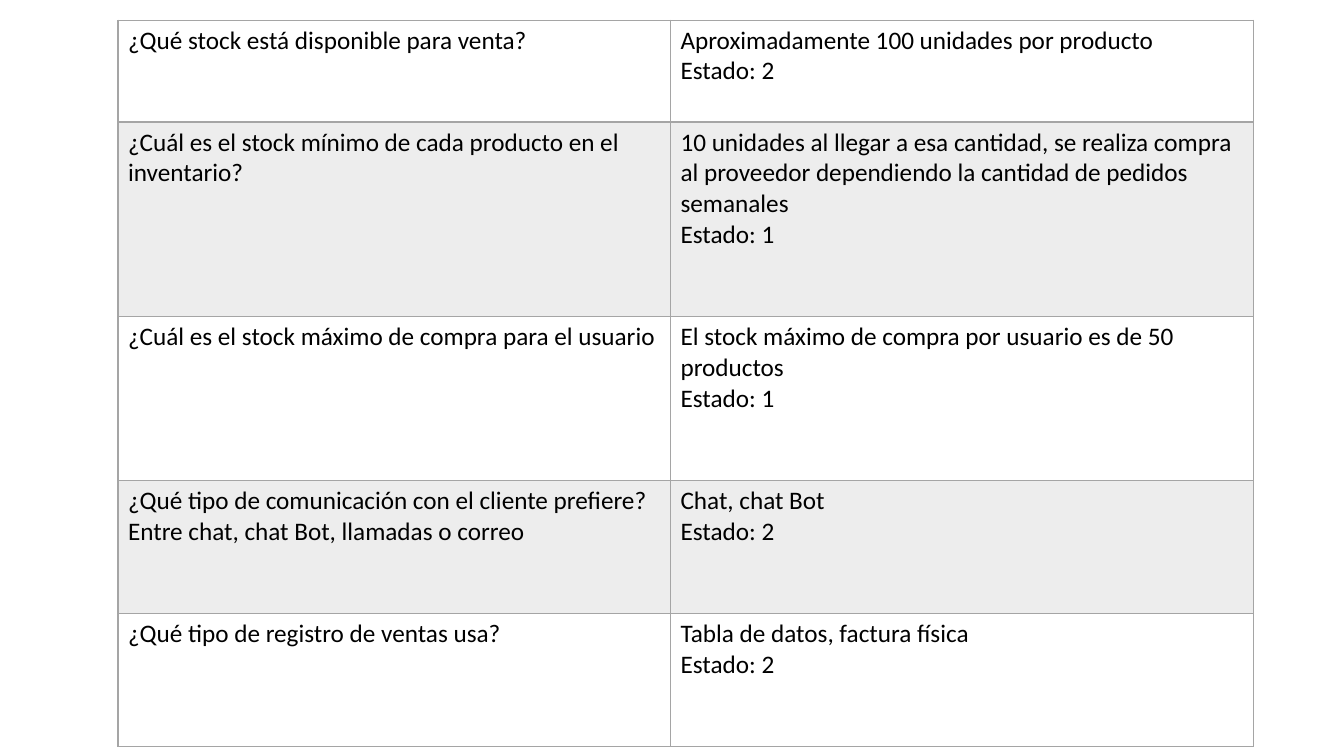
from dataclasses import dataclass

from lxml.etree import SubElement
from pptx import Presentation
from pptx.dml.color import RGBColor as RGB
from pptx.oxml.ns import qn
from pptx.util import Inches, Pt


@dataclass(frozen=True)
class Theme:
    font: str = "Calibri"
    size: int = 18
    ink: str = "000000"
    border: str = "A5A5A5"
    plain: str = "FFFFFF"
    band: str = "EDEDED"
    thin: int = 1
    thick: int = 2


THEME = Theme()
COLUMN_WIDTHS = (5.48, 5.78)
# Row height, question, answer, state
INTERVIEW = (
    (1.01, "¿Qué stock está disponible para venta?",
     "Aproximadamente 100 unidades por producto", 2),
    (1.93, "¿Cuál es el stock mínimo de cada producto en el inventario?",
     "10 unidades al llegar a esa cantidad, se realiza compra al proveedor "
     "dependiendo la cantidad de pedidos semanales", 1),
    (1.63, "¿Cuál es el stock máximo de compra para el usuario",
     "El stock máximo de compra por usuario es de 50 productos", 1),
    (1.32, "¿Qué tipo de comunicación con el cliente prefiere? "
     "Entre chat, chat Bot, llamadas o correo", "Chat, chat Bot", 2),
    (1.32, "¿Qué tipo de registro de ventas usa?",
     "Tabla de datos, factura física", 2),
)


def write_text(frame, text, *, font=THEME.font, size=THEME.size, color=THEME.ink):
    """Fill the frame; a vertical tab in the text is a line break."""
    frame.word_wrap = True
    frame.text = text
    for paragraph in frame.paragraphs:
        for run in paragraph.runs:
            run.font.name = font
            run.font.size = Pt(size)
            run.font.color.rgb = RGB.from_string(color)


def draw_borders(cell, **widths):
    """Draw the sides L, R, T and B with the given widths in points."""
    properties = cell._tc.get_or_add_tcPr()
    for side, width in widths.items():
        line = SubElement(properties, qn(f"a:ln{side}"), w=str(Pt(width)))
        fill = SubElement(line, qn("a:solidFill"))
        SubElement(fill, qn("a:srgbClr"), val=THEME.border)


def add_interview_table(slide, left, top, width, height):
    frame = slide.shapes.add_table(
        len(INTERVIEW), len(COLUMN_WIDTHS),
        Inches(left), Inches(top), Inches(width), Inches(height))
    table = frame.table
    for column, column_width in zip(table.columns, COLUMN_WIDTHS):
        column.width = Inches(column_width)
    for index, (row_height, question, answer, state) in enumerate(INTERVIEW):
        row = table.rows[index]
        row.height = Inches(row_height)
        above = THEME.thick if index == 1 else THEME.thin
        below = THEME.thick if index == 0 else THEME.thin
        for cell, text in zip(row.cells, (question, f"{answer}\vEstado: {state}")):
            write_text(cell.text_frame, text)
            draw_borders(cell, L=THEME.thin, R=THEME.thin, T=above, B=below)
            cell.fill.solid()
            cell.fill.fore_color.rgb = RGB.from_string(
                THEME.band if index % 2 else THEME.plain)


def main():
    deck = Presentation()
    deck.slide_width, deck.slide_height = Inches(13.33), Inches(7.5)
    slide = deck.slides.add_slide(deck.slide_layouts[6])
    add_interview_table(slide, 1.17, 0.2, sum(COLUMN_WIDTHS),
                        sum(row[0] for row in INTERVIEW))
    deck.save("out.pptx")


if __name__ == "__main__":
    main()
